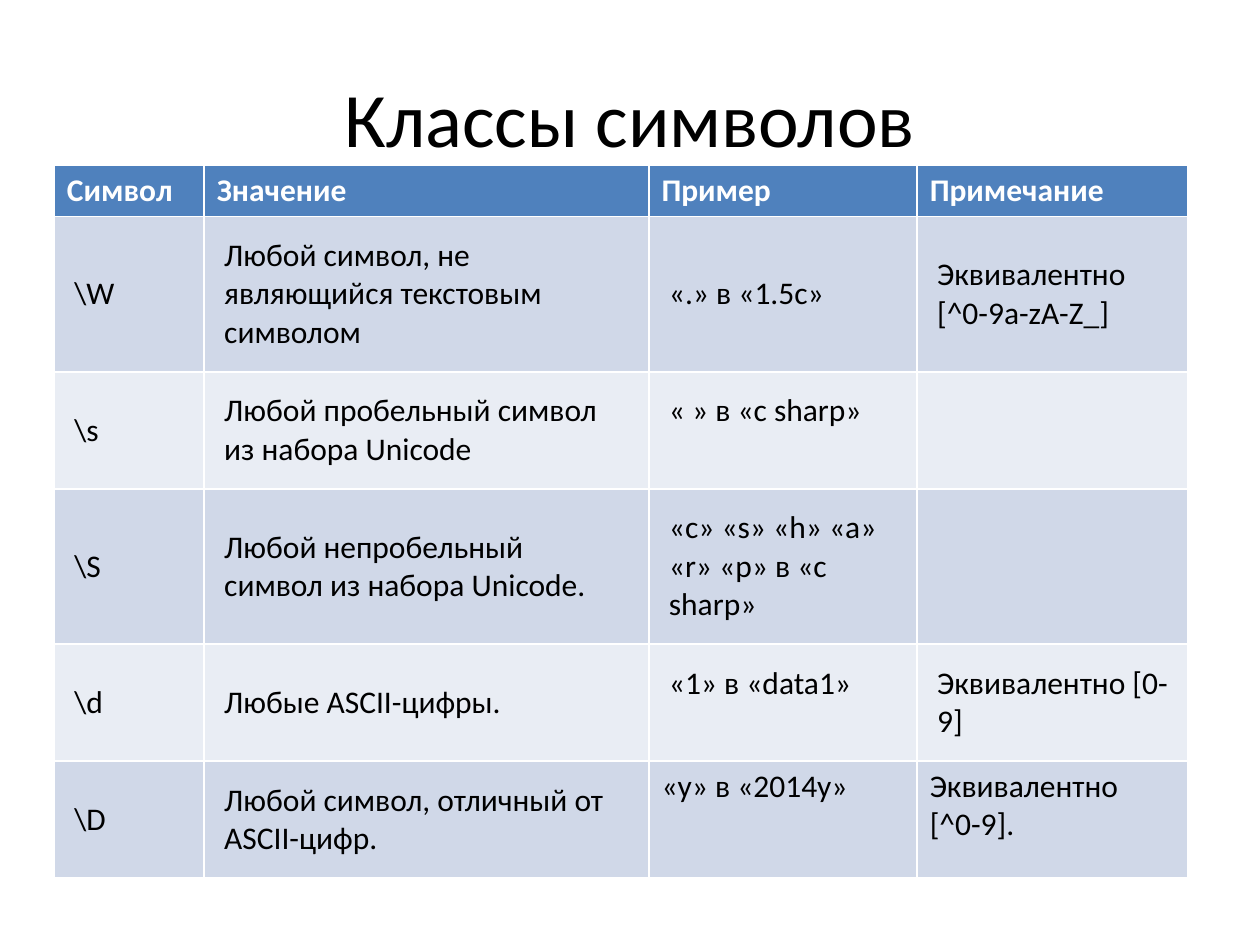
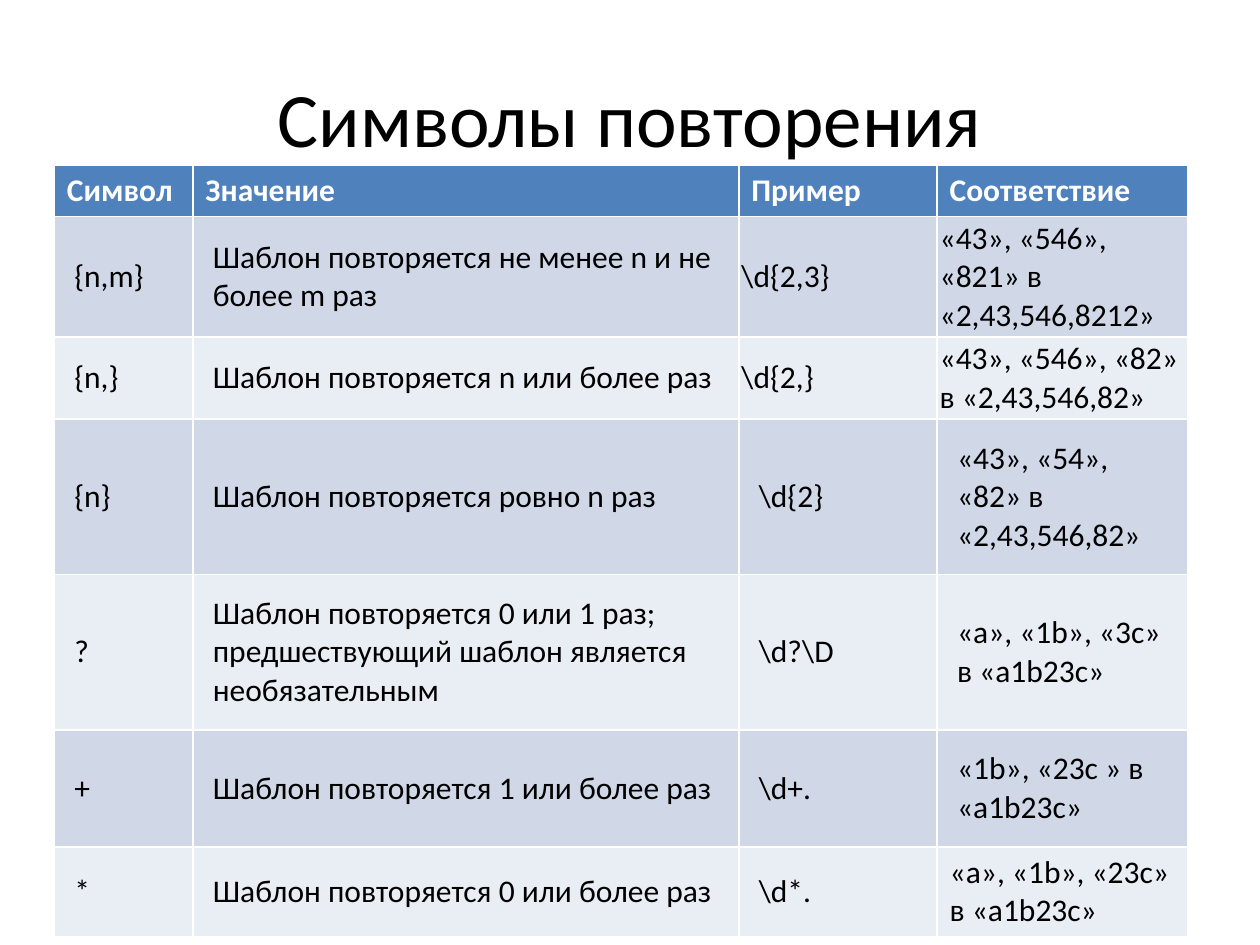
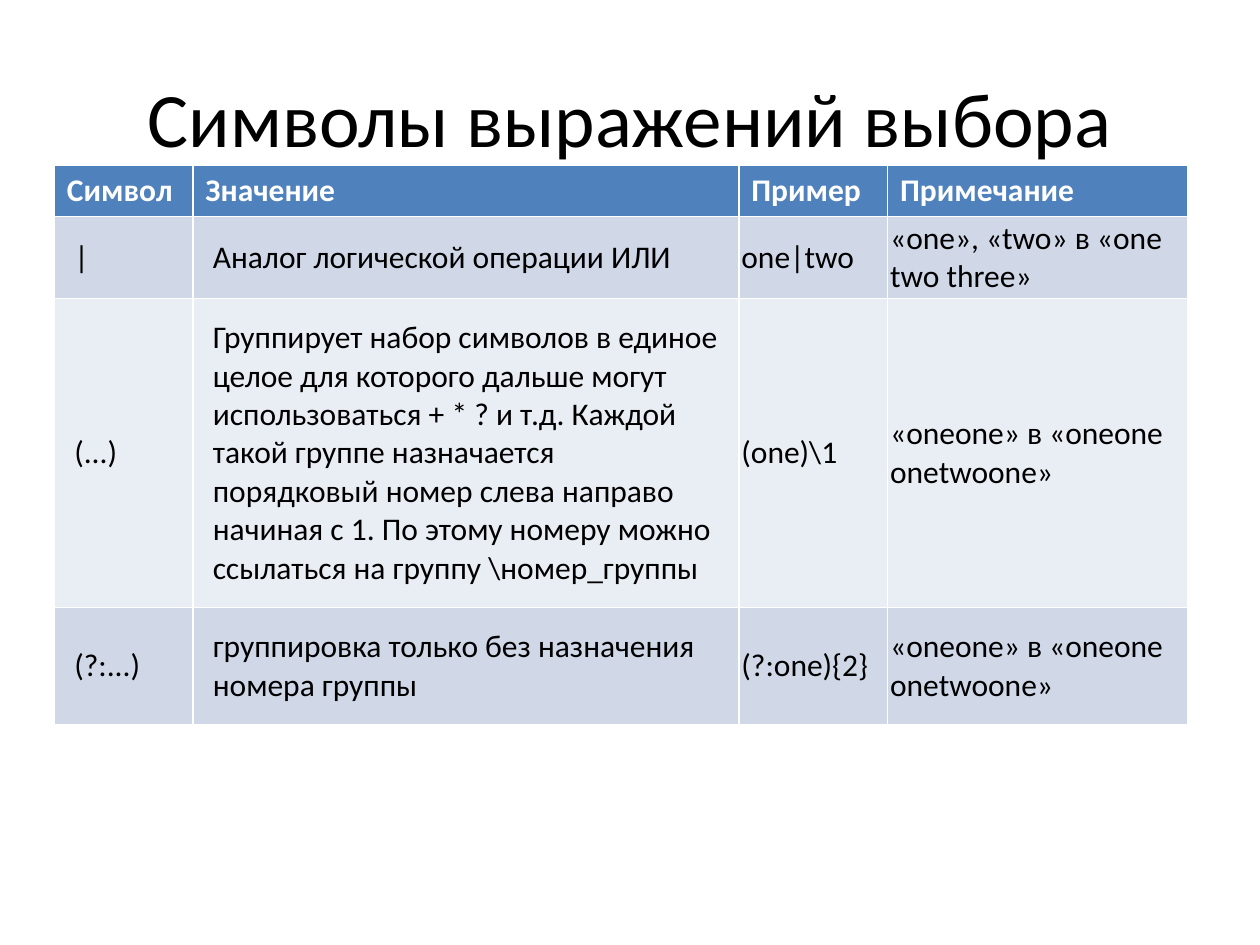
from pptx import Presentation
from pptx.dml.color import RGBColor
from pptx.enum.text import MSO_ANCHOR as Anchor, PP_ALIGN as Align
from pptx.util import Pt

# Shared look
FONT = "Calibri"
BLACK = RGBColor(0x00, 0x00, 0x00)
WHITE = RGBColor(0xFF, 0xFF, 0xFF)
HEADER_BLUE = RGBColor(0x4F, 0x81, 0xBD)
BANDS = (RGBColor(0xD0, 0xD8, 0xE8), RGBColor(0xE9, 0xED, 0xF4))
TITLE_BOX = (36, 21.6, 648, 90)
TABLE_LEFT, TABLE_TOP, TABLE_WIDTH = 31, 94.5, 648
ROW_HEIGHT = 29.2

# Cell styles: side margin, top and bottom margin, anchor
PLAIN = (7.2, 3.6, Anchor.TOP)
PADDED = (11.43, 11.43, Anchor.MIDDLE)
RAISED = (11.43, 11.43, Anchor.TOP)
TIGHT = (1.5, 1.5, Anchor.MIDDLE)

# Content: a cell is a text (padded) or a pair of text and style;
# the last column takes the width that is left
SLIDES = [
    {
        "title": "Классы символов",
        "columns": (85.7, 254.1, 153.3),
        "height": 401,
        "tall_rows": {},
        "header": ("Символ", "Значение", "Пример", "Примечание"),
        "rows": [
            (r"\W", "Любой символ, не являющийся текстовым символом",
             "«.» в «1.5с»", "Эквивалентно [^0-9a-zA-Z_]"),
            (r"\s", "Любой пробельный символ из набора Unicode",
             ("« » в «c sharp»", RAISED), ("", PLAIN)),
            (r"\S", "Любой непробельный символ из набора Unicode.",
             "«c» «s» «h» «a» «r» «p» в «c sharp»", ("", PLAIN)),
            (r"\d", "Любые ASCII-цифры.",
             ("«1» в «data1»", RAISED), "Эквивалентно [0-9]"),
            (r"\D", "Любой символ, отличный от ASCII-цифр.",
             ("«y» в «2014y»", PLAIN), ("Эквивалентно [^0-9].", PLAIN)),
        ],
    },
    {
        "title": "Символы повторения",
        "columns": (79.2, 312, 113.3),
        "height": 434,
        "tall_rows": {4: 68.4, 5: 60.5},
        "header": ("Символ", "Значение", "Пример", "Соответствие"),
        "rows": [
            ("{n,m}", "Шаблон повторяется не менее n и не более m раз",
             (r"\d{2,3}", TIGHT), ("«43», «546», «821» в\v«2,43,546,8212»", TIGHT)),
            ("{n,}", "Шаблон повторяется n или более раз",
             (r"\d{2,}", TIGHT), ("«43», «546», «82» в «2,43,546,82»", TIGHT)),
            ("{n}", "Шаблон повторяется ровно n раз",
             r"\d{2}", "«43», «54», «82» в «2,43,546,82»"),
            ("?", "Шаблон повторяется 0 или 1 раз; предшествующий шаблон "
                  "является необязательным",
             r"\d?\D", "«a», «1b», «3с» в «a1b23c»"),
            ("+", "Шаблон повторяется 1 или более раз",
             r"\d+.", "«1b», «23c » в «a1b23c»"),
            ("*", "Шаблон повторяется 0 или более раз",
             r"\d*.", ("«a», «1b», «23c» в «a1b23c»", PLAIN)),
        ],
    },
    {
        "title": "Символы выражений выбора",
        "columns": (79.2, 312, 85),
        "height": 314.6,
        "tall_rows": {},
        "header": ("Символ", "Значение", "Пример", "Примечание"),
        "rows": [
            ("|", "Аналог логической операции ИЛИ",
             ("one|two", TIGHT), ("«one», «two» в «one two three»", TIGHT)),
            ("(...)", "Группирует набор символов в единое целое для которого "
                      "дальше могут использоваться + * ? и т.д. Каждой такой "
                      "группе назначается порядковый номер слева направо "
                      "начиная с 1. По этому номеру можно ссылаться на группу "
                      r"\номер_группы",
             (r"(one)\1", TIGHT), ("«oneone» в «oneone onetwoone»", TIGHT)),
            ("(?:...)", "группировка только без назначения номера группы",
             ("(?:one){2}", TIGHT), ("«oneone» в «oneone onetwoone»", TIGHT)),
        ],
    },
]


def format_font(paragraph, size, color, bold=False):
    font = paragraph.font
    font.name, font.size, font.bold = FONT, Pt(size), bold
    font.color.rgb = color


def add_title(slide, text):
    title = slide.shapes.title
    title.left, title.top, title.width, title.height = map(Pt, TITLE_BOX)
    title.text_frame.text = text
    title.text_frame.vertical_anchor = Anchor.MIDDLE
    paragraph = title.text_frame.paragraphs[0]
    paragraph.alignment = Align.CENTER
    format_font(paragraph, 44, BLACK)


def fill_cell(cell, text, style, fill, color, bold=False):
    side, vertical, cell.vertical_anchor = style
    cell.margin_left = cell.margin_right = Pt(side)
    cell.margin_top = cell.margin_bottom = Pt(vertical)
    cell.fill.solid()
    cell.fill.fore_color.rgb = fill
    paragraph = cell.text_frame.paragraphs[0]
    paragraph.text = text
    format_font(paragraph, 18, color, bold)


def add_symbol_table(slide, content):
    header, rows = content["header"], content["rows"]
    frame = slide.shapes.add_table(
        len(rows) + 1, len(header),
        Pt(TABLE_LEFT), Pt(TABLE_TOP), Pt(TABLE_WIDTH), Pt(content["height"]))
    table = frame.table
    widths = content["columns"] + (TABLE_WIDTH - sum(content["columns"]),)
    for column, width in zip(table.columns, widths):
        column.width = Pt(width)
    for index, row in enumerate(table.rows):
        row.height = Pt(content["tall_rows"].get(index, ROW_HEIGHT))
    # Rows grow with their text, so the frame keeps its full height
    frame.width, frame.height = Pt(TABLE_WIDTH), Pt(content["height"])

    for column, text in enumerate(header):
        fill_cell(table.cell(0, column), text, PLAIN, HEADER_BLUE, WHITE, bold=True)
    for index, row in enumerate(rows):
        for column, entry in enumerate(row):
            text, style = (entry, PADDED) if isinstance(entry, str) else entry
            fill_cell(table.cell(index + 1, column), text, style,
                      BANDS[index % 2], BLACK)


def main():
    presentation = Presentation()
    presentation.slide_width, presentation.slide_height = Pt(720), Pt(540)
    title_only = presentation.slide_layouts[5]
    for content in SLIDES:
        slide = presentation.slides.add_slide(title_only)
        add_title(slide, content["title"])
        add_symbol_table(slide, content)
    presentation.save("out.pptx")


if __name__ == "__main__":
    main()
